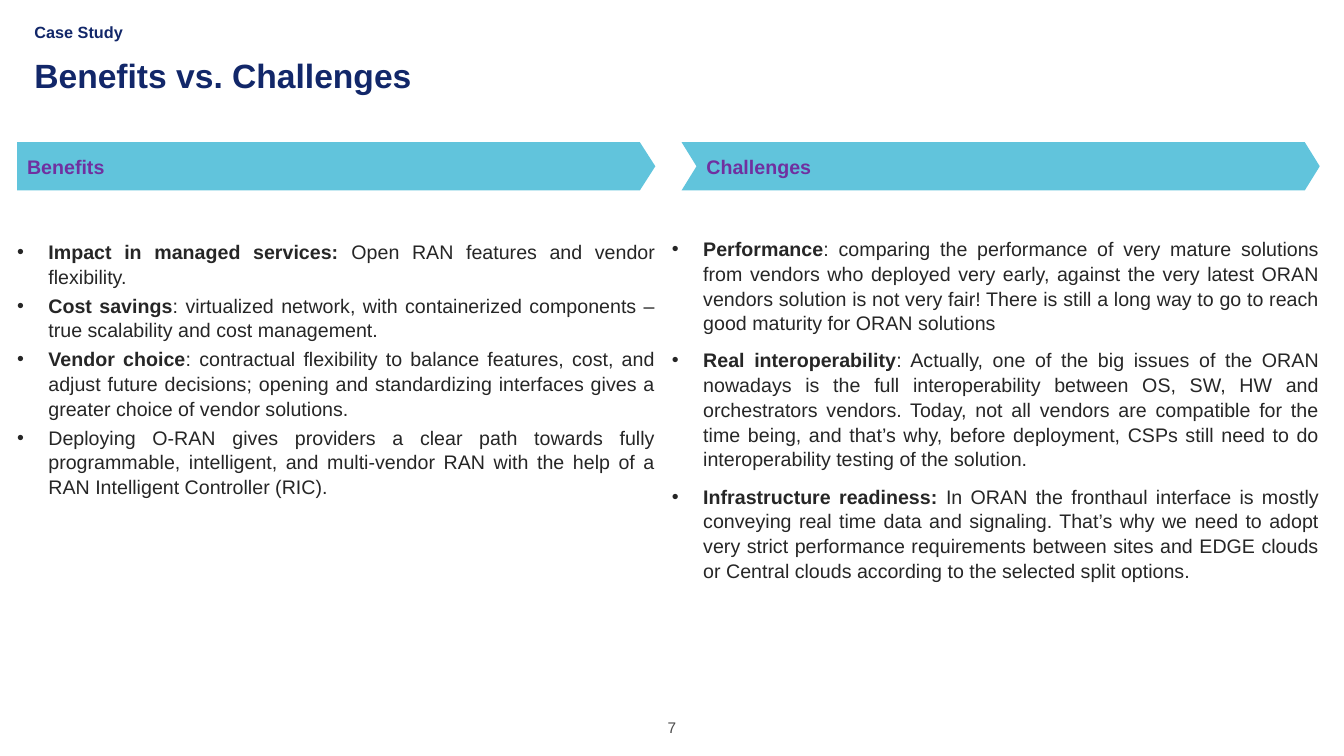
from pptx import Presentation
from pptx.dml.color import RGBColor
from pptx.enum.shapes import MSO_SHAPE as Shape
from pptx.enum.text import MSO_ANCHOR as Anchor, MSO_AUTO_SIZE as Fit, PP_ALIGN as Align
from pptx.util import Inches, Pt

NAVY = RGBColor(0x12, 0x27, 0x69)
CYAN = RGBColor(0x61, 0xC4, 0xDC)
PURPLE = RGBColor(0x70, 0x30, 0xA0)
INK = RGBColor(0x26, 0x26, 0x26)
GREY = RGBColor(0x4B, 0x4B, 0x4B)

WIDE, TALL = 13.33, 7.5
EDGE = 0.17
INSET = 2 * EDGE
BAR = 6.33
HANG = Inches(0.31)

# heading, banner shape, point depth, banner left, list box, space after, points
COLUMNS = [
    ("Benefits", Shape.PENTAGON, 0.32, EDGE, (EDGE, 2.37, BAR, 2.76), 3, [
        ("Impact in managed services: ",
         "Open RAN features and vendor flexibility."),
        ("Cost savings",
         ": virtualized network, with containerized components – true "
         "scalability and cost management."),
        ("Vendor choice",
         ": contractual flexibility to balance features, cost, and adjust "
         "future decisions; opening and standardizing interfaces gives a "
         "greater choice of vendor solutions."),
        ("",
         "Deploying O-RAN gives providers a clear path towards fully "
         "programmable, intelligent, and multi-vendor RAN with the help of a "
         "RAN Intelligent Controller (RIC)."),
    ]),
    ("Challenges", Shape.CHEVRON, 0.31, 6.76, (WIDE / 2, 2.34, 6.42, 3.32), 9, [
        ("Performance",
         ": comparing the performance of very mature solutions from vendors "
         "who deployed very early, against the very latest ORAN vendors "
         "solution is not very fair! There is still a long way to go to reach "
         "good maturity for ORAN solutions"),
        ("Real interoperability",
         ": Actually, one of the big issues of the ORAN nowadays is the full "
         "interoperability between OS, SW, HW and orchestrators vendors. "
         "Today, not all vendors are compatible for the time being, and "
         "that’s why, before deployment, CSPs still need to do "
         "interoperability testing of the solution."),
        ("Infrastructure readiness: ",
         "In ORAN the fronthaul interface is mostly conveying real time data "
         "and signaling. That’s why we need to adopt very strict performance "
         "requirements between sites and EDGE clouds or Central clouds "
         "according to the selected split options."),
    ]),
]


def place(shape, left, top, width, height):
    """Move the shape and give its text frame no margins."""
    shape.left, shape.top = Inches(left), Inches(top)
    shape.width, shape.height = Inches(width), Inches(height)
    frame = shape.text_frame
    frame.margin_left = frame.margin_right = 0
    frame.margin_top = frame.margin_bottom = 0
    frame.word_wrap = True
    frame.auto_size = Fit.NONE
    frame.vertical_anchor = Anchor.TOP
    return frame


def style(para, size, color, bold=None, align=Align.LEFT, lines=1.0):
    para.alignment = align
    para.line_spacing = lines
    para.space_before = Pt(0)
    font = para.font
    font.name, font.size, font.bold = "Arial", Pt(size), bold
    font.color.rgb = color


deck = Presentation()
deck.slide_width, deck.slide_height = Inches(WIDE), Inches(TALL)
slide = deck.slides.add_slide(deck.slide_layouts[3])
shapes = slide.shapes
title, *lists = slide.placeholders

frame = place(title, INSET, 0.59, WIDE - 2 * INSET, 0.36)
frame.text = "Benefits vs. Challenges"
style(frame.paragraphs[0], 24, NAVY, True, lines=0.9)

label = shapes.add_textbox(0, 0, 0, 0)
frame = place(label, INSET, 0.21, WIDE - 2 * INSET, 0.19)
frame.text = "Case Study"
style(frame.paragraphs[0], 11.6, NAVY, True, lines=1.04)

for body, column in zip(lists, COLUMNS):
    head, kind, depth, left, box, gap, points = column

    bar = shapes.add_shape(kind, Inches(left), Inches(1.41), Inches(BAR), Inches(0.48))
    bar.adjustments[0] = depth
    bar.shadow.inherit = False
    bar.fill.solid()
    bar.fill.fore_color.rgb = CYAN
    bar.line.fill.background()
    bar.text_frame.text = head
    bar.text_frame.vertical_anchor = Anchor.MIDDLE
    style(bar.text_frame.paragraphs[0], 14, PURPLE, True)

    frame = place(body, *box)
    for i, (lead, rest) in enumerate(points):
        para = frame.add_paragraph() if i else frame.paragraphs[0]
        props = para._p.get_or_add_pPr()
        props.set("marL", str(HANG))
        props.set("indent", str(-HANG))
        style(para, 14, INK, align=Align.JUSTIFY, lines=1.05)
        para.space_after = Pt(gap)
        if lead:
            run = para.add_run()
            run.text = lead
            run.font.bold = True
        para.add_run().text = rest

number = shapes.add_textbox(0, 0, 0, 0)
frame = place(number, (WIDE - 0.95) / 2, 7.11, 0.95, 0.2)
frame.vertical_anchor = Anchor.BOTTOM
frame.text = "7"
style(frame.paragraphs[0], 11, GREY, align=Align.CENTER)

deck.save("out.pptx")
